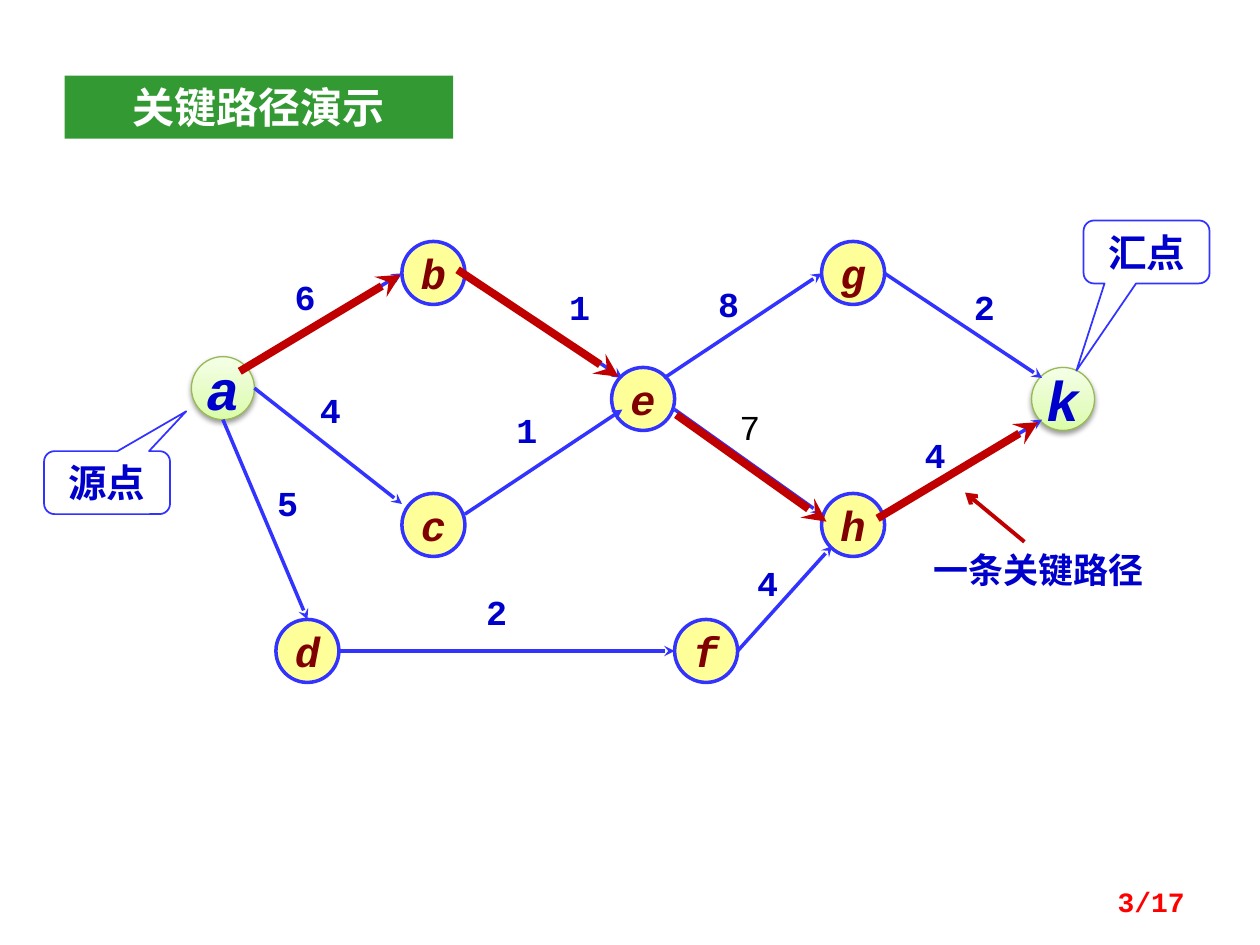
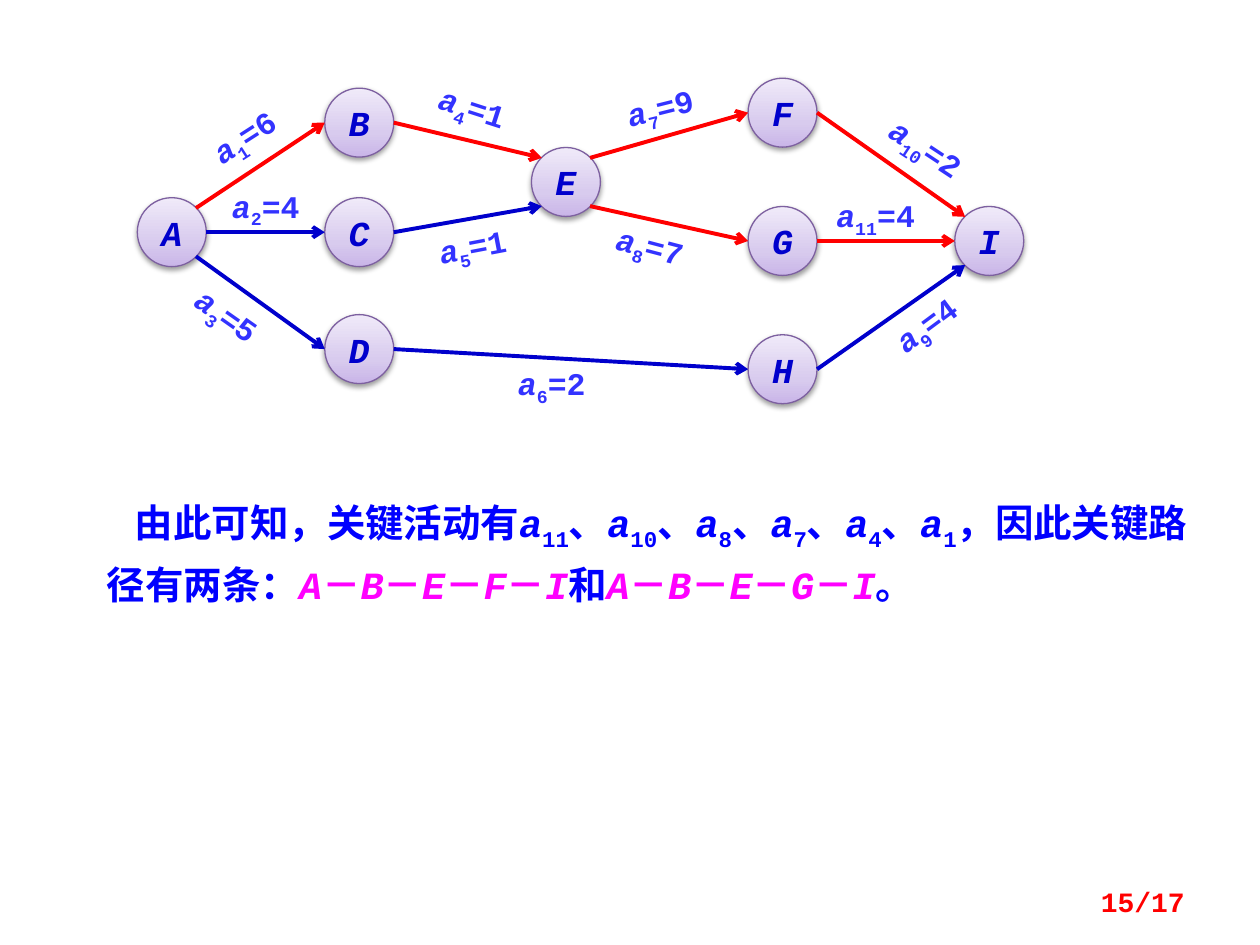
from lxml.etree import SubElement
from pptx import Presentation
from pptx.dml.color import RGBColor
from pptx.enum.shapes import MSO_CONNECTOR, MSO_SHAPE as SHAPE
from pptx.enum.text import MSO_ANCHOR as ANCHOR, MSO_AUTO_SIZE as AUTO, PP_ALIGN as ALIGN
from pptx.oxml import parse_xml
from pptx.oxml.ns import nsdecls, qn
from pptx.util import Pt

color = RGBColor.from_string
BLUE, NAVY, RED, DARK_RED, WHITE = "3333FF", "0000CC", "FF0000", "C00000", "FFFFFF"
MONO, CJK = "Courier New", "Noto Sans CJK SC"
LABEL = {"size": Pt(20), "bold": True, "name": MONO}
EDGE_LABEL = LABEL | {"size": Pt(18)}
LETTER = LABEL | {"italic": True}
FIXED = {"word_wrap": False, "vertical_anchor": ANCHOR.MIDDLE}
GROWING = {"word_wrap": True, "auto_size": AUTO.SHAPE_TO_FIT_TEXT}


def write(shape, runs, font, frame, align=ALIGN.CENTER):
    for name, value in frame.items():
        setattr(shape.text_frame, name, value)
    para = shape.text_frame.paragraphs[0]
    para.alignment = align
    for text, tint, extra in runs:
        span = para.add_run()
        span.text = text
        extra = dict(extra)
        baseline = extra.pop("baseline", None)
        for name, value in (font | extra).items():
            setattr(span.font, name, value)
        span.font.color.rgb = color(tint)
        properties = span.font._element
        SubElement(properties, qn("a:ea"), typeface=CJK)
        if baseline:
            properties.set("baseline", baseline)
    return para


def draw_arrow(page, start, end, tint, width, head):
    ends = [Pt(value) for value in (*start, *end)]
    arrow = page.shapes.add_connector(MSO_CONNECTOR.STRAIGHT, *ends)
    arrow.line.color.rgb = color(tint)
    arrow.line.width = Pt(width)
    SubElement(arrow.line._get_or_add_ln(), qn("a:tailEnd"), type=head)
    SubElement(arrow._element.spPr, qn("a:effectLst"))


deck = Presentation()
deck.slide_width, deck.slide_height = Pt(720), Pt(540)
demo, result = [deck.slides.add_slide(deck.slide_layouts[6]) for _ in range(2)]

GREEN_STYLE = (36, 32, NAVY, "98B955", 0.75, ("DAFDA7", "E4FCC2", "F5FFE7"))
YELLOW_STYLE = (36, 24, "800000", BLUE, 2, None)
PURPLE_STYLE = (39.4, 20, NAVY, "7D60A0", 0.75, ("C9B5E8", "D8CBEE", "F0EAF9"))
demo_nodes = {
    "a": (109.4, 203.8), "b": (229.7, 138), "c": (229.7, 282), "d": (157.7, 354),
    "e": (349.5, 210), "f": (385.5, 354), "g": (469.5, 138), "h": (469.5, 282),
    "k": (589.5, 210),
}
result_nodes = {
    "A": (78.5, 113), "B": (185.6, 50.4), "C": (185.6, 113), "D": (185.6, 179.8),
    "E": (303.7, 84.3), "F": (427.5, 44.7), "G": (427.5, 118), "H": (427.5, 191.3),
    "I": (545.6, 118),
}
nodes = [(demo, name, spot, GREEN_STYLE if name in "ak" else YELLOW_STYLE)
         for name, spot in demo_nodes.items()]
nodes += [(result, name, spot, PURPLE_STYLE) for name, spot in result_nodes.items()]

for page, name, (left, top), style in nodes:
    side, text_size, text_tint, line_tint, line_width, stops = style
    node = page.shapes.add_shape(SHAPE.OVAL, Pt(left), Pt(top), Pt(side), Pt(side))
    node.shadow.inherit = False
    node.line.color.rgb = color(line_tint)
    node.line.width = Pt(line_width)
    if stops:
        stop_xml = "".join(
            f'<a:gs pos="{place}"><a:srgbClr val="{tint}"/></a:gs>'
            for place, tint in zip((0, 35000, 100000), stops))
        node._element.spPr.insert(2, parse_xml(
            f'<a:gradFill {nsdecls("a")} rotWithShape="1"><a:gsLst>{stop_xml}</a:gsLst>'
            '<a:lin ang="16200000" scaled="0"/></a:gradFill>'))
        node._element.spPr.find(qn("a:effectLst")).append(parse_xml(
            f'<a:outerShdw {nsdecls("a")} blurRad="{Pt(3.1)}" dist="{Pt(1.6)}" dir="5400000">'
            '<a:srgbClr val="000000"><a:alpha val="38000"/></a:srgbClr></a:outerShdw>'))
    else:
        node.fill.solid()
        node.fill.fore_color.rgb = color("FFFF99")
    write(node, [(name, text_tint, {})], LETTER | {"size": Pt(text_size)}, FIXED)

edges = [
    ((139.7, 210.2), (229.7, 156.2)), ((265.7, 156.2), (355.7, 216)),
    ((379.5, 216), (469.5, 156.2)), ((505.5, 293.8), (595.5, 239.8)),
    ((385.5, 234), (469.5, 293.8)), ((145.4, 221.8), (229.7, 288)),
    ((265.7, 293.8), (355.7, 234)), ((193.7, 372), (385.5, 372)),
    ((421.5, 372), (475.5, 312)), ((127.4, 239.8), (175.7, 354)),
    ((505.5, 156.2), (595.5, 216)),
]
critical_edges = [
    ((137, 212.2), (229, 157)), ((261.5, 154.2), (353.5, 215.3)),
    ((386.5, 237), (472.3, 298.1)), ((501.5, 296.2), (593.3, 241.2)),
]
for start, end in edges:
    draw_arrow(demo, start, end, BLUE, 2, "stealth")
for start, end in critical_edges:
    draw_arrow(demo, start, end, DARK_RED, 4.5, "stealth")

weights = [
    ("6", 161.3, 154.1), ("4", 175.7, 218.2), ("5", 151.2, 271.4), ("2", 270.7, 334.1),
    ("1", 318.2, 159.8), ("1", 288, 229.7), ("8", 403.2, 157.7), ("2", 549.4, 159.8),
    ("4", 521.3, 244.1), ("4", 425.5, 317.5), ("7", 415.4, 228.2),
]
for weight, left, top in weights:
    box = demo.shapes.add_textbox(Pt(left), Pt(top), Pt(26), Pt(31.5))
    tint, bold = ("000000", False) if weight == "7" else (NAVY, True)
    write(box, [(weight, tint, {"bold": bold})], LABEL,
          GROWING | {"word_wrap": False}, ALIGN.LEFT)

callouts = [
    ("源点", 25.2, 257.8, (0.628, -1.132, 0.167)),
    ("汇点", 619.2, 126, (-0.557, 1.885, 0.167)),
]
for text, left, top, adjustments in callouts:
    callout = demo.shapes.add_shape(
        SHAPE.ROUNDED_RECTANGULAR_CALLOUT, Pt(left), Pt(top), Pt(72), Pt(36))
    for index, value in enumerate(adjustments):
        callout.adjustments[index] = value
    callout.shadow.inherit = False
    callout.fill.solid()
    callout.fill.fore_color.rgb = color(WHITE)
    SubElement(callout._element.spPr.find(".//" + qn("a:srgbClr")), qn("a:alpha"), val="50000")
    callout.line.color.rgb = color(BLUE)
    callout.line.width = Pt(1)
    write(callout, [(text, NAVY, {})], LABEL | {"size": Pt(22)}, FIXED)

title = demo.shapes.add_shape(SHAPE.RECTANGLE, Pt(37), Pt(43.2), Pt(222), Pt(36))
title.shadow.inherit = False
title.fill.solid()
title.fill.fore_color.rgb = color("339933")
title.line.fill.background()
write(title, [("关键路径演示", WHITE, {})], {"size": Pt(24), "bold": True, "name": CJK},
      GROWING | {"vertical_anchor": ANCHOR.TOP})

path_note = demo.shapes.add_textbox(Pt(506.2), Pt(309.6), Pt(174.2), Pt(31.5))
write(path_note, [("一条关键路径", NAVY, {})], LABEL, GROWING)
draw_arrow(demo, (585.4, 309.6), (551.5, 281.5), DARK_RED, 2.25, "arrow")

SITES = {"left": (0, 0.5), "right": (1, 0.5), "upper left": (0.15, 0.15),
         "upper right": (0.85, 0.15), "lower left": (0.15, 0.85), "lower right": (0.85, 0.85)}
activities = [
    ("A", "upper right", "B", "left", RED, 6, 105.8, 67, 327.3),
    ("A", "right", "C", "left", NAVY, 4, 118.1, 106.6, 0),
    ("A", "lower right", "D", "left", NAVY, 5, 95.8, 169.2, 35.2),
    ("B", "right", "E", "upper left", RED, 1, 236.2, 50.4, 17.8),
    ("C", "right", "E", "lower left", NAVY, 1, 236.2, 129.6, 349.2),
    ("D", "right", "H", "left", NAVY, 2, 281.5, 208.1, 0),
    ("E", "upper right", "F", "left", RED, 9, 343.4, 50.4, 346),
    ("E", "lower right", "G", "left", RED, 7, 337.7, 129.6, 14.7),
    ("H", "right", "I", "lower left", NAVY, 4, 495.4, 174.2, 323.4),
    ("F", "right", "I", "upper left", RED, 2, 495.4, 73.4, 33.4),
    ("G", "right", "I", "left", RED, 4, 466.6, 112.3, 0),
]
SUBSCRIPT = {"italic": False, "baseline": "-25000"}
UPRIGHT, SLANTED = {"italic": False}, {"italic": True}
NO_MARGINS = {f"margin_{side}": 0 for side in ("left", "top", "right", "bottom")}
for number, activity in enumerate(activities, 1):
    source, source_site, target, target_site, tint, cost, left, top, angle = activity
    start, end = [
        [corner + PURPLE_STYLE[0] * share
         for corner, share in zip(result_nodes[name], SITES[site])]
        for name, site in ((source, source_site), (target, target_site))]
    draw_arrow(result, start, end, tint, 2.25, "arrow")
    box = result.shapes.add_textbox(Pt(left), Pt(top), Pt(67.5), Pt(22.5))
    box.rotation = angle
    runs = [("a", BLUE, SLANTED), (str(number), BLUE, SUBSCRIPT), (f"={cost}", BLUE, UPRIGHT)]
    write(box, runs, EDGE_LABEL, GROWING | NO_MARGINS)

TEXT_BLUE, MAGENTA = "0000FF", "FF00FF"
runs = [("由此可知，关键活动有", TEXT_BLUE, UPRIGHT)]
for number, mark in zip((11, 10, 8, 7, 4, 1), "、、、、、，"):
    tail = "，因此关键路径有两条：" if mark == "，" else mark
    runs += [("a", TEXT_BLUE, SLANTED), (str(number), TEXT_BLUE, SUBSCRIPT),
             (tail, TEXT_BLUE, UPRIGHT)]
for route, ending in (("A－B－E－F－I", "和"), ("A－B－E－G－I", "。")):
    runs += [(sign, MAGENTA, UPRIGHT if sign == "－" else SLANTED) for sign in route]
    runs.append((ending, TEXT_BLUE, UPRIGHT))
conclusion = result.shapes.add_textbox(Pt(54), Pt(275.8), Pt(635), Pt(71.3))
para = write(conclusion, runs, LABEL | {"size": Pt(22)}, GROWING, ALIGN.LEFT)
para.line_spacing = 1.2
para._p.get_or_add_pPr().set("indent", str(Pt(16)))

for page, number in ((demo, 3), (result, 15)):
    box = page.shapes.add_textbox(Pt(516), Pt(500.4), Pt(168), Pt(28.8))
    write(box, [(f"{number}/17", RED, {})], LABEL | {"size": Pt(16)},
          FIXED | {"word_wrap": True}, ALIGN.RIGHT)

deck.save("out.pptx")
